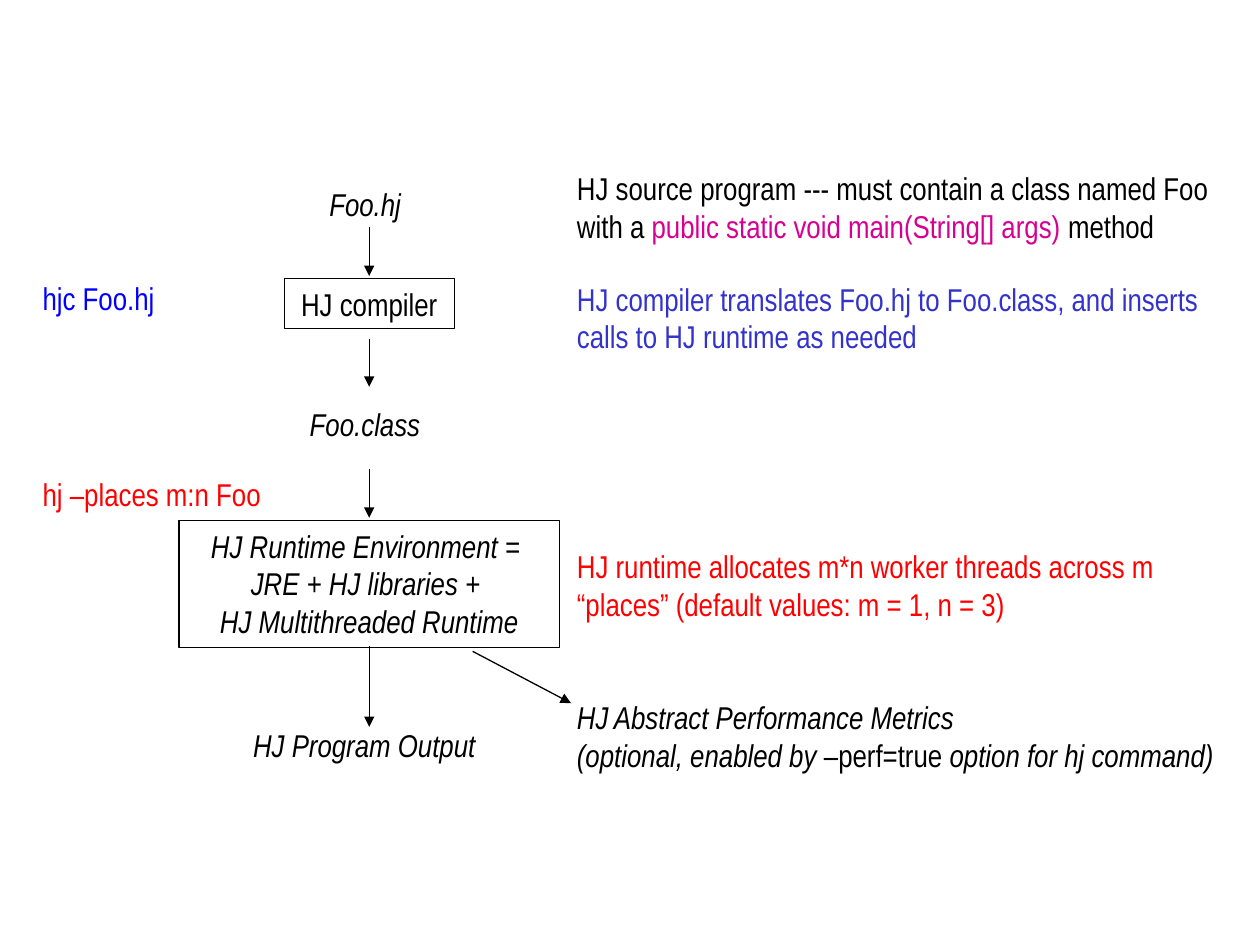
from lxml import etree
from pptx import Presentation
from pptx.dml.color import RGBColor
from pptx.enum import shapes, text
from pptx.oxml import ns
from pptx.util import Pt

BLACK, BLUE, INDIGO, RED, MAGENTA = "000000", "0000FF", "3333CC", "FF0000", "D60093"
LINE_WIDTH = Pt(0.75)
LABEL_HEIGHT, NOTE_HEIGHT = 28.8, 51.1


def color(value):
    """Return the colour for a hex string."""
    return RGBColor.from_string(value)


def write(shape, paragraphs, wrap, alignment=text.PP_ALIGN.LEFT):
    """Fill a shape with paragraphs of (wording, colour, italic) runs."""
    frame = shape.text_frame
    frame.word_wrap = wrap
    frame.auto_size = text.MSO_AUTO_SIZE.SHAPE_TO_FIT_TEXT
    frame.vertical_anchor = text.MSO_ANCHOR.TOP
    for index, runs in enumerate(paragraphs):
        paragraph = frame.paragraphs[0] if index == 0 else frame.add_paragraph()
        paragraph.alignment = alignment
        for wording, hue, italic in runs:
            run = paragraph.add_run()
            run.text = wording
            run.font.name = "Arial Narrow"
            run.font.size = Pt(18)
            run.font.italic = italic
            run.font.color.rgb = color(hue)


def add_label(slide, left, top, width, height, paragraphs, wrap=False):
    """Add plain text at a place."""
    shape = slide.shapes.add_textbox(Pt(left), Pt(top), Pt(width), Pt(height))
    write(shape, paragraphs, wrap)


def add_stage(slide, left, top, width, height, paragraphs, wrap=False):
    """Add an outlined box with centred text."""
    shape = slide.shapes.add_shape(
        shapes.MSO_SHAPE.RECTANGLE, Pt(left), Pt(top), Pt(width), Pt(height))
    shape.shadow.inherit = False
    shape.fill.background()
    shape.line.color.rgb = color(BLACK)
    shape.line.width = LINE_WIDTH
    write(shape, paragraphs, wrap, text.PP_ALIGN.CENTER)


def add_arrow(slide, start_x, start_y, end_x, end_y):
    """Add a thin black line with a triangular head at its end."""
    arrow = slide.shapes.add_connector(
        shapes.MSO_CONNECTOR.STRAIGHT, Pt(start_x), Pt(start_y), Pt(end_x), Pt(end_y))
    arrow.line.color.rgb = color(BLACK)
    arrow.line.width = LINE_WIDTH
    etree.SubElement(arrow.line._get_or_add_ln(), ns.qn("a:tailEnd"), type="triangle")
    etree.SubElement(arrow._element.spPr, ns.qn("a:effectLst"))


def add_pipeline(slide, left, top, width):
    """Place the flow from source file to program output on one axis."""
    axis = left + width / 2
    runtime = ["HJ Runtime Environment = ", "JRE + HJ libraries + ", "HJ Multithreaded Runtime"]
    steps = [
        (add_label, 9.3, 59.8, LABEL_HEIGHT, ["Foo.hj"], True, False),
        (add_stage, 66.2, 97.2, LABEL_HEIGHT, ["HJ compiler"], False, False),
        (add_label, 135.3, 82.1, LABEL_HEIGHT, ["Foo.class"], True, False),
        (add_stage, 204.5, width, 72.7, runtime, True, True),
        (add_label, 318.2, 146.9, LABEL_HEIGHT, ["HJ Program Output"], True, False),
    ]
    for add, offset, step_width, height, lines, italic, wrap in steps:
        paragraphs = [[(line, BLACK, italic)] for line in lines]
        add(slide, axis - step_width / 2, top + offset, step_width, height, paragraphs, wrap)
    for start, end in [(36.7, 64.8), (100.8, 128.1), (174.9, 203), (276.5, 322.5)]:
        add_arrow(slide, axis, top + start, axis, top + end)
    add_arrow(slide, left + 167.8, top + 279.3, left + 224, top + 308.9)


def add_commands(slide, left, top):
    """Place the two shell commands beside the flow."""
    for offset, width, wording, hue in [
            (0, 79.2, "hjc Foo.hj", BLUE), (111.6, 140.4, "hj –places m:n Foo", RED)]:
        add_label(slide, left, top + offset, width, LABEL_HEIGHT, [[(wording, hue, False)]])


def add_notes(slide, left, top):
    """Place the explanations to the right of the flow."""
    source = [[("HJ source program --- must contain a class named Foo with a ", BLACK, False),
               ("public static void main(String[] args) ", MAGENTA, False),
               ("method", BLACK, False)]]
    compiler = [[("HJ compiler translates Foo.hj to Foo.class, and inserts", INDIGO, False)],
                [("calls to HJ runtime as needed", INDIGO, False)]]
    workers = [[("HJ runtime allocates m*n worker threads across m “places” "
                 "(default values: m = 1, n = 3)", RED, False)]]
    metrics = [[("HJ Abstract Performance Metrics", BLACK, True)],
               [("(optional, enabled by ", BLACK, True), ("–perf=true", BLACK, False),
                (" option for hj command)", BLACK, True)]]
    for offset, width, paragraphs, wrap in [
            (0, 382.3, source, True), (63.3, 372.2, compiler, True),
            (216, 372.2, workers, True), (302.4, 385.9, metrics, False)]:
        add_label(slide, left, top + offset, width, NOTE_HEIGHT, paragraphs, wrap)


def main():
    """Build and save the slide."""
    presentation = Presentation()
    presentation.slide_width, presentation.slide_height = Pt(720), Pt(540)
    slide = presentation.slides.add_slide(presentation.slide_layouts[6])
    add_pipeline(slide, 102.3, 92.9, 217.4)
    add_commands(slide, 17.3, 156.2)
    add_notes(slide, 322.6, 92.9)
    presentation.save("out.pptx")


main()
